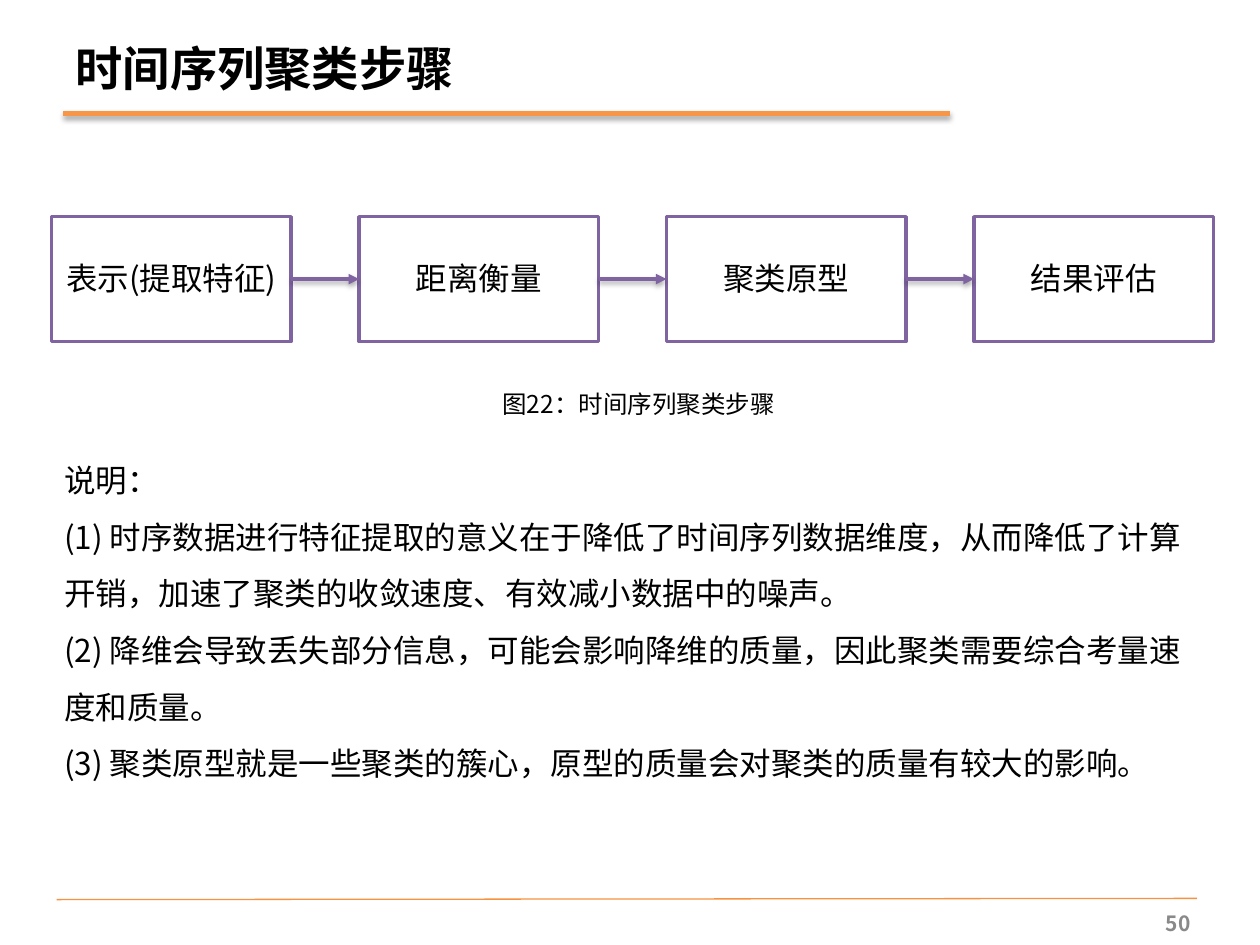
from itertools import pairwise

from lxml.etree import SubElement
from pptx import Presentation
from pptx.dml.color import RGBColor
from pptx.enum.shapes import MSO_CONNECTOR, MSO_SHAPE
from pptx.enum.text import MSO_ANCHOR, MSO_AUTO_SIZE, PP_ALIGN
from pptx.oxml import parse_xml
from pptx.oxml.ns import nsdecls, qn
from pptx.util import Inches, Pt

FONT = "Noto Sans CJK SC"
COLORS = {
    "text": "000000",
    "number": "898989",
    "title_rule": "F79646",
    "footer_rule": "F69240",
    "step": "8064A2",
    "fill": "FFFFFF",
}
STEPS = ["表示(提取特征)", "距离衡量", "聚类原型", "结果评估"]
NOTES = [
    "说明：",
    "(1) 时序数据进行特征提取的意义在于降低了时间序列数据维度，从而降低了计算开销，加速了聚类的收敛速度、有效减小数据中的噪声。",
    "(2) 降维会导致丢失部分信息，可能会影响降维的质量，因此聚类需要综合考量速度和质量。",
    "(3) 聚类原型就是一些聚类的簇心，原型的质量会对聚类的质量有较大的影响。",
]


def color(name):
    return RGBColor.from_string(COLORS[name])


def format_text(text_frame, size, color_name="text", bold=False, align=PP_ALIGN.LEFT, spacing=None):
    for paragraph in text_frame.paragraphs:
        paragraph.alignment = align
        paragraph.line_spacing = spacing
        for run in paragraph.runs:
            run.font.size = Pt(size)
            run.font.bold = bold
            run.font.color.rgb = color(color_name)
            run.font.name = FONT
            SubElement(run.font._element, qn("a:ea"), typeface=FONT)


def add_text(slide, text, left, top, width, height, size, margin=None, wrap=True, **style):
    shape = slide.shapes.add_textbox(left, top, width, height)
    text_frame = shape.text_frame
    text_frame.word_wrap = wrap
    text_frame.auto_size = MSO_AUTO_SIZE.SHAPE_TO_FIT_TEXT
    if margin is not None:
        text_frame.margin_left = text_frame.margin_right = margin
        text_frame.margin_top = text_frame.margin_bottom = margin
    text_frame.text = text
    format_text(text_frame, size, **style)
    return shape


def add_line(slide, start, end, color_name, width, shadow=False, arrow=False):
    connector = slide.shapes.add_connector(MSO_CONNECTOR.STRAIGHT, *start, *end)
    connector.line.color.rgb = color(color_name)
    connector.line.width = Pt(width)
    if arrow:
        SubElement(connector.line._get_or_add_ln(), qn("a:tailEnd"), type="triangle")
    effect = (
        f'<a:outerShdw blurRad="{Pt(3)}" dist="{Pt(1.8)}" dir="5400000" rotWithShape="0">'
        '<a:srgbClr val="000000"><a:alpha val="35000"/></a:srgbClr></a:outerShdw>'
    ) if shadow else ""
    connector._element.spPr.append(
        parse_xml(f'<a:effectLst {nsdecls("a")}>{effect}</a:effectLst>')
    )
    return connector


def add_title(slide, left, top, width, height):
    title = slide.shapes.title
    title.left, title.top, title.width, title.height = left, top, width, height
    title.text_frame.text = "时间序列聚类步骤"
    title.text_frame.auto_size = MSO_AUTO_SIZE.NONE
    title.text_frame.vertical_anchor = MSO_ANCHOR.MIDDLE
    format_text(title.text_frame, 27, bold=True)
    rule_top = top + Inches(0.64)
    add_line(slide, (left, rule_top), (left + width, rule_top), "title_rule", 3, shadow=True)


def add_step(slide, label, left, top, width, height):
    box = slide.shapes.add_shape(MSO_SHAPE.RECTANGLE, left, top, width, height)
    box.shadow.inherit = False
    box.fill.solid()
    box.fill.fore_color.rgb = color("fill")
    box.line.color.rgb = color("step")
    box.line.width = Pt(2)
    add_text(slide, label, left, top + Inches(0.29), width, Inches(0.4), 18, align=PP_ALIGN.CENTER)
    return box


def add_process(slide, left, top, width, height):
    box_width = Inches(1.9)
    pitch = (width - box_width) // (len(STEPS) - 1)
    boxes = [
        add_step(slide, label, left + index * pitch, top, box_width, height)
        for index, label in enumerate(STEPS)
    ]
    middle = top + height // 2
    for source, target in pairwise(boxes):
        arrow = add_line(
            slide, (source.left + box_width, middle), (target.left, middle),
            "step", 2, shadow=True, arrow=True,
        )
        arrow.begin_connect(source, 3)
        arrow.end_connect(target, 1)


def add_footer(slide, left, top, width, height):
    right = left + width
    add_line(slide, (left, top + Inches(0.01)), (right, top), "footer_rule", 0.75)
    number_width = Inches(0.32)
    number = add_text(
        slide, "50", right - number_width, top + Inches(0.05), number_width, height - Inches(0.05),
        12, margin=Inches(0.05), wrap=False, color_name="number", bold=True, align=PP_ALIGN.RIGHT,
    )
    number.text_frame.vertical_anchor = MSO_ANCHOR.MIDDLE


def main():
    presentation = Presentation()
    presentation.slide_width, presentation.slide_height = Inches(10), Inches(7.5)
    slide = presentation.slides.add_slide(presentation.slide_layouts[5])
    add_title(slide, Inches(0.5), Inches(0.26), Inches(7.04), Inches(0.56))
    add_footer(slide, Inches(0.45), Inches(7.13), Inches(9.05), Inches(0.35))
    add_text(
        slide, "\n".join(NOTES), Inches(0.41), Inches(3.46), Inches(9.09), Inches(2.77),
        18, spacing=1.5,
    )
    add_process(slide, Inches(0.41), Inches(1.72), Inches(9.22), Inches(0.99))
    add_text(
        slide, "图22：时间序列聚类步骤", Inches(3.03), Inches(3.04), Inches(4.08), Inches(0.34),
        14, margin=Inches(0.05), align=PP_ALIGN.CENTER,
    )
    presentation.save("out.pptx")


if __name__ == "__main__":
    main()
